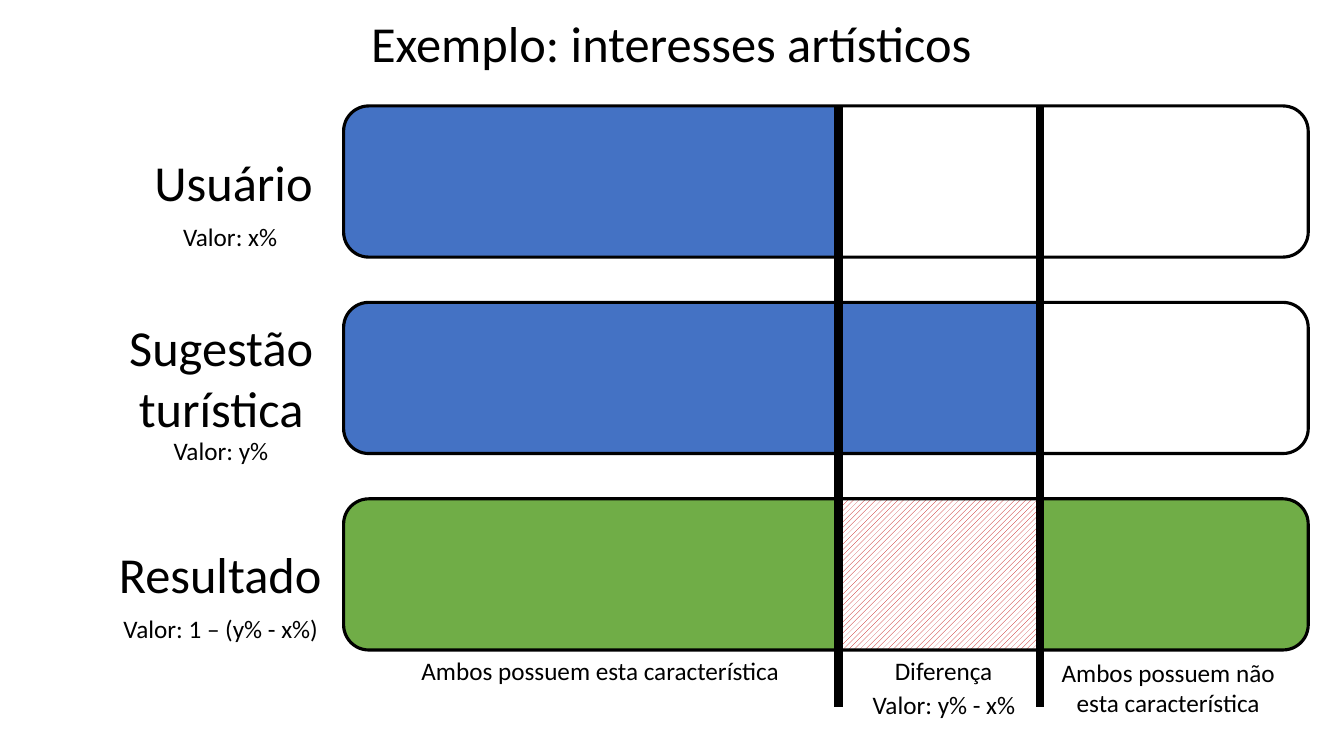
from pptx import Presentation
from pptx.dml.color import RGBColor
from pptx.enum.dml import MSO_PATTERN
from pptx.enum.shapes import MSO_CONNECTOR, MSO_SHAPE
from pptx.enum.text import MSO_AUTO_SIZE, PP_ALIGN
from pptx.oxml.ns import qn
from pptx.util import Cm, Pt
from lxml.etree import SubElement

BLACK = RGBColor(0x00, 0x00, 0x00)
WHITE = RGBColor(0xFF, 0xFF, 0xFF)
BLUE = RGBColor(0x44, 0x72, 0xC4)
GREEN = RGBColor(0x70, 0xAD, 0x47)
RED = RGBColor(0xC0, 0x00, 0x00)
BROWN = RGBColor(0xAF, 0x5C, 0x24)

ROUND, RECT = MSO_SHAPE.ROUNDED_RECTANGLE, MSO_SHAPE.RECTANGLE

# Layout in centimetres
BAR_LEFT, BAR_WIDTH, BAR_HEIGHT = 8.66, 24.31, 3.81
USER_TOP, SUGGESTION_TOP, RESULT_TOP = (2.67 + 4.95 * row for row in range(3))
USER_END, SUGGESTION_END = 21.13, 26.21
DIVIDER_BOTTOM = 17.81
CAP_WIDTH = 0.92

# Text: left, top, width, height, size, lines
TEXTS = [
    (9.02, 0.18, 15.8, 1.8, 36, ["Exemplo: interesses artísticos"]),
    (3.61, 3.68, 4.55, 1.8, 36, ["Usuário"]),
    (2.97, 7.85, 5.21, 3.33, 36, ["Sugestão", "turística"]),
    (2.72, 13.56, 5.66, 1.8, 36, ["Resultado"]),
    (4.34, 5.46, 2.92, 1.02, 18, ["Valor: x%"]),
    (4.11, 10.85, 2.92, 1.02, 18, ["Valor: y%"]),
    (2.82, 15.34, 5.49, 1.02, 18, ["Valor: 1 – (y% - x%)"]),
    (10.31, 16.38, 9.63, 1.02, 18, ["Ambos possuem esta característica"]),
    (22.28, 16.38, 3, 1.02, 18, ["Diferença"]),
    (21.72, 17.25, 4.14, 1.02, 18, ["Valor: y% - x%"]),
    (26.47, 16.43, 5.94, 1.8, 18, ["Ambos possuem não", "esta característica"]),
]


def apply(target, values):
    for name, value in values.items():
        setattr(target, name, value)


def add_bar(page, kind, left, top, width, fill=None, line=None, weight=2.25):
    bar = page.shapes.add_shape(kind, Cm(left), Cm(top), Cm(width), Cm(BAR_HEIGHT))
    bar.shadow.inherit = False
    if fill is None:
        bar.fill.background()
    else:
        bar.fill.solid()
        bar.fill.fore_color.rgb = fill
    if line is None:
        bar.line.fill.background()
    else:
        bar.line.color.rgb = line
        bar.line.width = Pt(weight)
    return bar


def add_outline(page, top):
    add_bar(page, ROUND, BAR_LEFT, top, BAR_WIDTH, line=BLACK)


def add_value(page, top, end):
    """Blue part of a bar: rounded at the left, square at its end."""
    add_bar(page, ROUND, BAR_LEFT, top, end - BAR_LEFT, BLUE)
    add_bar(page, RECT, end - CAP_WIDTH, top, CAP_WIDTH, BLUE)
    add_outline(page, top)


def add_result(page):
    add_bar(page, ROUND, BAR_LEFT, RESULT_TOP, BAR_WIDTH, GREEN)
    difference = add_bar(page, RECT, USER_END, RESULT_TOP,
                         SUGGESTION_END - USER_END, WHITE, BROWN, 1)
    difference.fill.patterned()
    difference.fill.pattern = MSO_PATTERN.WIDE_UPWARD_DIAGONAL
    difference.fill.fore_color.rgb = RED
    difference.fill.back_color.rgb = WHITE
    add_outline(page, RESULT_TOP)


def add_divider(page, left):
    divider = page.shapes.add_connector(MSO_CONNECTOR.STRAIGHT, Cm(left), Cm(USER_TOP),
                                        Cm(left), Cm(DIVIDER_BOTTOM))
    divider.line.color.rgb = BLACK
    divider.line.width = Pt(6)
    SubElement(divider._element.spPr, qn("a:effectLst"))


def add_text(page, left, top, width, height, size, lines):
    box = page.shapes.add_textbox(Cm(left), Cm(top), Cm(width), Cm(height))
    frame = box.text_frame
    apply(frame, {"word_wrap": False, "auto_size": MSO_AUTO_SIZE.SHAPE_TO_FIT_TEXT})
    for index, line in enumerate(lines):
        para = frame.add_paragraph() if index else frame.paragraphs[0]
        para.alignment = PP_ALIGN.CENTER
        span = para.add_run()
        span.text = line
        apply(span.font, {"name": "Calibri", "size": Pt(size)})
        span.font.color.rgb = BLACK


def main():
    deck = Presentation()
    apply(deck, {"slide_width": Cm(33.87), "slide_height": Cm(19.05)})
    page = deck.slides.add_slide(deck.slide_layouts[6])

    # Bars
    add_value(page, USER_TOP, USER_END)
    add_value(page, SUGGESTION_TOP, SUGGESTION_END)
    add_result(page)

    # Dividers across all bars
    for left in (USER_END, SUGGESTION_END):
        add_divider(page, left)

    # Title, labels and captions
    for text in TEXTS:
        add_text(page, *text)

    deck.save("out.pptx")


main()
